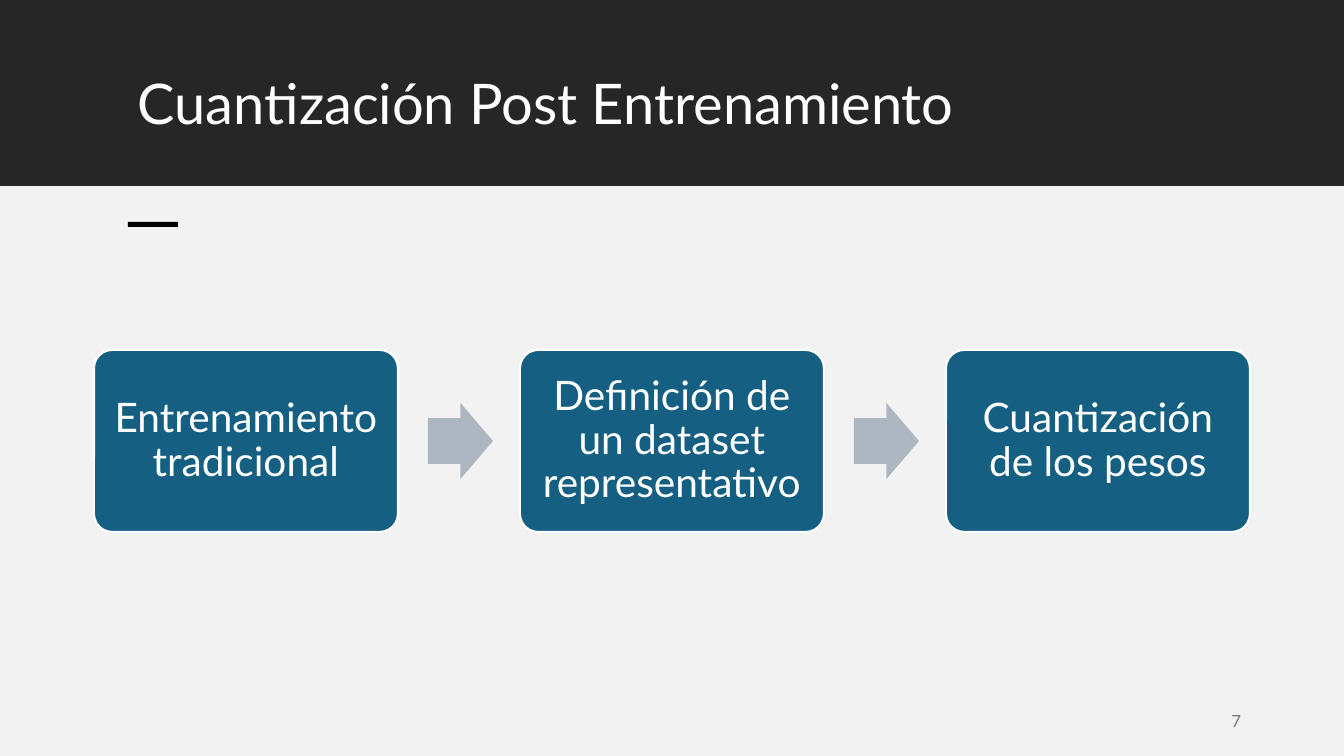
from pptx import Presentation
from pptx import util as u
from pptx.dml.color import RGBColor
from pptx.enum import shapes, text

TITLE = "Cuantización Post Entrenamiento"
STEPS = [
    "Entrenamiento tradicional",
    "Definición de un dataset representativo",
    "Cuantización de los pesos",
]
PAGE = "7"

FONT = "Lato"
WHITE = RGBColor(0xFF, 0xFF, 0xFF)
BLACK = RGBColor(0, 0, 0)
DARK = RGBColor(0x26, 0x26, 0x26)
PALE = RGBColor(0xF2, 0xF2, 0xF2)
BLUE = RGBColor(0x15, 0x60, 0x82)
ARROW = RGBColor(0xAC, 0xB7, 0xC1)
GREY = RGBColor(0x79, 0x79, 0x79)

SHAPE = shapes.MSO_SHAPE
ALIGN = text.PP_ALIGN
ANCHOR = text.MSO_ANCHOR

W, H = 1344, 756
HEADER_H = 186
STEP_X, STEP_Y, STEP_W, STEP_H, PITCH = 94, 350, 304, 182, 426
ARROW_W, ARROW_H, ARROW_GAP = 65, 76, 30


def px(n):
    return u.Emu(round(n * 914400 / 100.8))


def add_shape(slide, kind, box, fill, adjustments=(), line=None):
    sp = slide.shapes.add_shape(kind, *map(px, box))
    sp.shadow.inherit = False
    sp.fill.solid()
    sp.fill.fore_color.rgb = fill
    for i, value in enumerate(adjustments):
        sp.adjustments[i] = value
    if line is None:
        sp.line.fill.background()
    else:
        sp.line.color.rgb = line
        sp.line.width = u.Pt(1.5)
    return sp


def write(sp, words, size, color, align, anchor, spacing=1.0, inset=None):
    tf = sp.text_frame
    frame = {"word_wrap": True, "vertical_anchor": anchor}
    if inset is not None:
        for side in ("left", "right", "top", "bottom"):
            frame["margin_" + side] = px(inset)
    for name, value in frame.items():
        setattr(tf, name, value)
    p = tf.paragraphs[0]
    p.alignment, p.line_spacing = align, spacing
    r = p.add_run()
    r.text = words
    for name, value in {"name": FONT, "size": u.Pt(size)}.items():
        setattr(r.font, name, value)
    r.font.color.rgb = color


def add_text(slide, box, *args, **kwargs):
    write(slide.shapes.add_textbox(*map(px, box)), *args, **kwargs)


def main():
    prs = Presentation()
    prs.slide_width, prs.slide_height = px(W), px(H)
    slide = prs.slides.add_slide(prs.slide_layouts[6])

    add_shape(slide, SHAPE.RECTANGLE, (0, -1, W, HEADER_H + 1), DARK)
    add_text(slide, (128, 71, 1090, 99), TITLE, 40, WHITE,
             ALIGN.LEFT, ANCHOR.TOP, spacing=0.9)
    add_shape(slide, SHAPE.RECTANGLE, (0, HEADER_H, W, H - HEADER_H), PALE)
    add_shape(slide, SHAPE.RECTANGLE, (128, 222, 50, 5), BLACK)

    for i, step in enumerate(STEPS):
        x = STEP_X + i * PITCH
        sp = add_shape(slide, SHAPE.ROUNDED_RECTANGLE,
                       (x, STEP_Y, STEP_W, STEP_H), BLUE, [0.1], WHITE)
        write(sp, step, 29, WHITE, ALIGN.CENTER, ANCHOR.MIDDLE,
              spacing=0.9, inset=12)
        if i < len(STEPS) - 1:
            add_shape(slide, SHAPE.RIGHT_ARROW,
                      (x + STEP_W + ARROW_GAP, STEP_Y + (STEP_H - ARROW_H) / 2,
                       ARROW_W, ARROW_H), ARROW, [0.6, 0.5])

    add_text(slide, (949, 701, 302, 40), PAGE, 12, GREY,
             ALIGN.RIGHT, ANCHOR.MIDDLE)
    prs.save("out.pptx")


if __name__ == "__main__":
    main()
